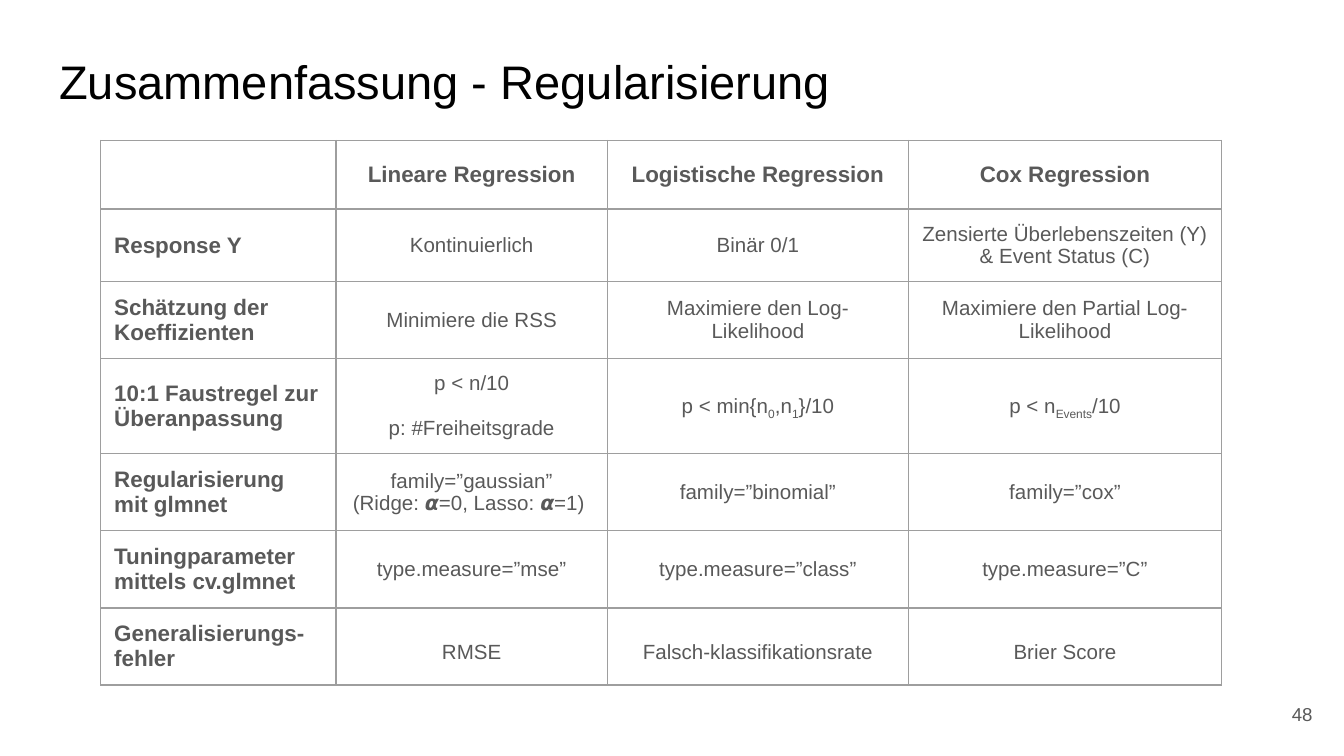
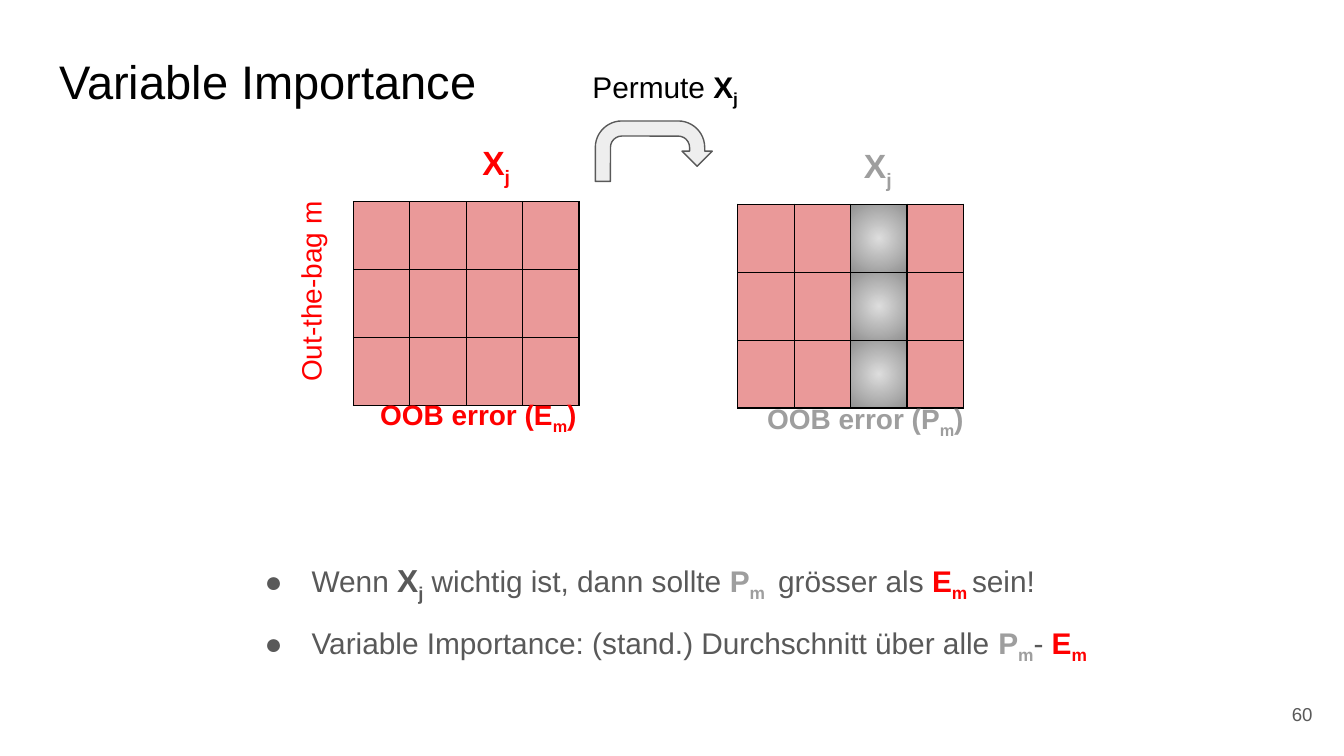
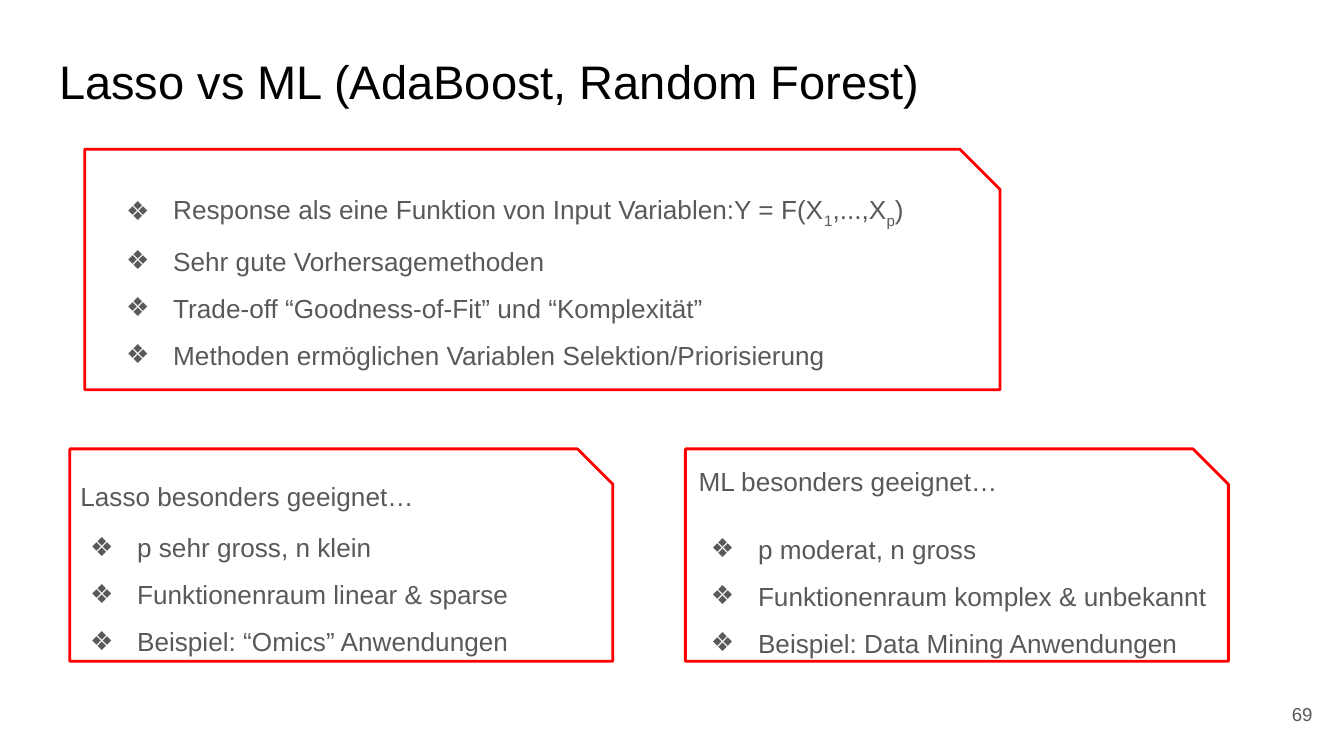
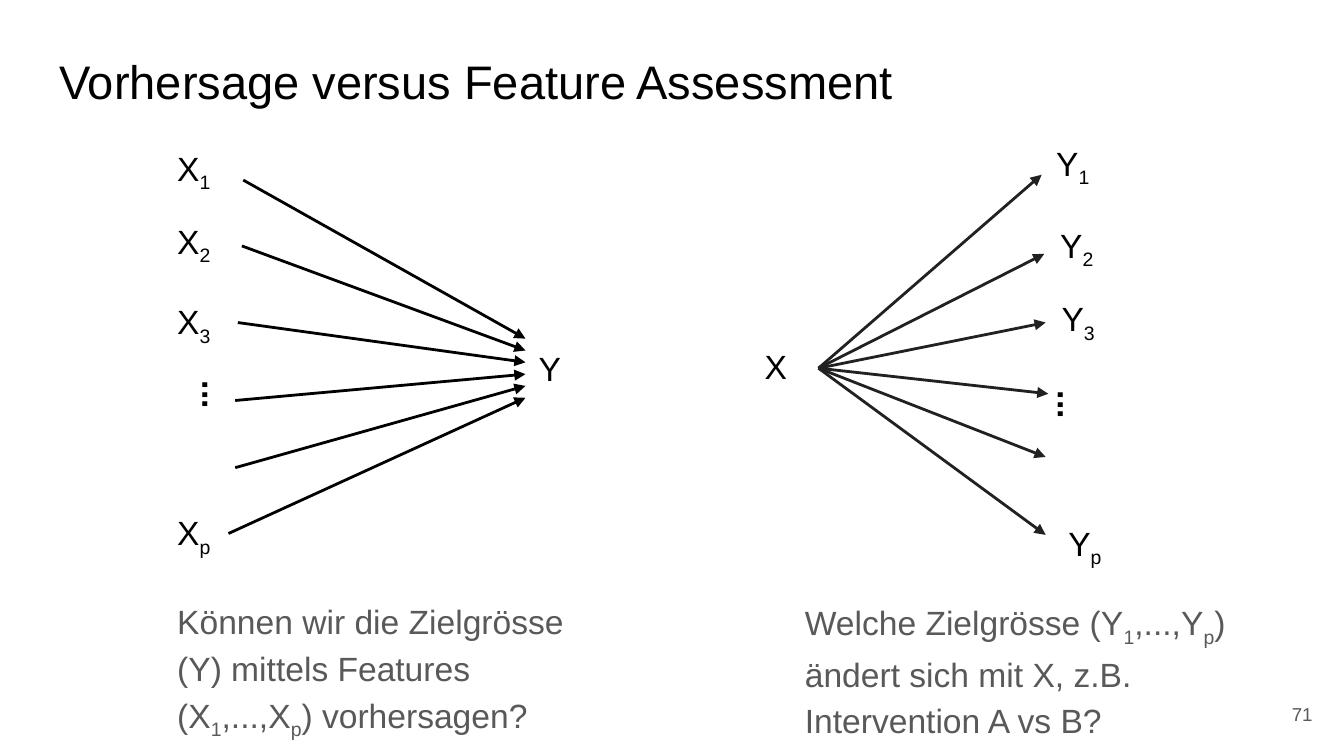
"""Build four lecture slides on regularisation, variable importance and prediction."""
import lxml.etree
import pptx
import pptx.dml.color
import pptx.enum.shapes
import pptx.enum.text
import pptx.oxml.ns
import pptx.util

COLOURS = {
    "black": "000000", "text": "595959", "grey": "9E9E9E", "red": "FF0000",
    "pink": "EA9999", "light": "DDDDDD", "dark": "919191", "pale": "EEEEEE", "ink": "212121",
}
RGB = {name: pptx.dml.color.RGBColor.from_string(value) for name, value in COLOURS.items()}
Pt = pptx.util.Pt
qn = pptx.oxml.ns.qn
ALIGN = pptx.enum.text.PP_ALIGN
ANCHOR = pptx.enum.text.MSO_ANCHOR
FIT = pptx.enum.text.MSO_AUTO_SIZE
SHAPE = pptx.enum.shapes.MSO_SHAPE
EDGES = ("left", "top", "width", "height")
LOOSE = {"line_spacing": 1.5}
AIRY = {"line_spacing": 1.15, "space_after": Pt(12)}

deck = pptx.Presentation()
deck.slide_width = pptx.util.Inches(10)
deck.slide_height = deck.slide_width * 9 // 16
CELL = deck.slide_width / 100
INSET = int(CELL)


def write(holder, paragraphs, look, layout=None, bullet=None, anchor=ANCHOR.TOP):
    """Fill a frame or table cell; text between bars is set as subscript."""
    for side in ("left", "right", "top", "bottom"):
        setattr(holder, f"margin_{side}", INSET)
    holder.vertical_anchor = anchor
    frame = getattr(holder, "text_frame", holder)
    for number, spans in enumerate(paragraphs):
        para = frame.add_paragraph() if number else frame.paragraphs[0]
        if bullet:
            props = para._p.get_or_add_pPr()
            props.set("marL", str(int(5 * CELL)))
            props.set("indent", str(int(-3.5 * CELL)))
            colour = lxml.etree.SubElement(props, qn("a:buClr"))
            lxml.etree.SubElement(colour, qn("a:srgbClr"), val=COLOURS["text"])
            lxml.etree.SubElement(props, qn("a:buSzPts"), val=str(int(look["size"].pt * 100)))
            lxml.etree.SubElement(props, qn("a:buFont"), typeface="Arial")
            lxml.etree.SubElement(props, qn("a:buChar"), char=bullet)
        settings = {"alignment": ALIGN.LEFT, "space_before": Pt(0), **(layout or {})}
        for name, value in settings.items():
            setattr(para, name, value)
        for words, change in [(spans, {})] if isinstance(spans, str) else spans:
            for part, piece in enumerate(words.split("|")):
                if not piece:
                    continue
                span = para.add_run()
                span.text = piece
                for name, value in {"name": "Arial", **look, **change}.items():
                    if name == "color":
                        span.font.color.rgb = RGB[value]
                    else:
                        setattr(span.font, name, value)
                if part % 2:
                    span._r.get_or_add_rPr().set("baseline", "-25000")


def add_box(shapes, area, paragraphs, look, layout=None, bullet=None, turn=0):
    """Add a wrapping text box that grows with its text."""
    box = shapes.add_textbox(*(int(value * CELL) for value in area))
    box.rotation = turn
    box.text_frame.word_wrap = True
    box.text_frame.auto_size = FIT.SHAPE_TO_FIT_TEXT
    write(box.text_frame, paragraphs, look, layout, bullet)
    return box


pages = []
for heading, number, kind in [
    ("Zusammenfassung - Regularisierung", "48", 5),
    ("Variable Importance", "60", 5),
    ("Lasso vs ML (AdaBoost, Random Forest)", "69", 3),
    ("Vorhersage versus Feature Assessment", "71", 5),
]:
    page = deck.slides.add_slide(deck.slide_layouts[kind])
    pages.append(page)
    title = page.shapes.title
    for edge, value in zip(EDGES, (3.4, 2.9, 93.2, 6.3)):
        setattr(title, edge, int(value * CELL))
    title.text_frame.auto_size = FIT.NONE
    write(title.text_frame, [heading], {"size": Pt(25.2), "color": "black"})
    footer = add_box(page.shapes, (92.65, 51, 6, 4.3), [number],
                     {"size": Pt(10), "color": "text"}, {"alignment": ALIGN.RIGHT})
    footer.text_frame.auto_size = FIT.NONE
    footer.text_frame.vertical_anchor = ANCHOR.MIDDLE
summary, importance, comparison, assessment = pages
if comparison.placeholders:
    for spare in [item for item in comparison.placeholders
                  if item.placeholder_format.idx not in (0, 1, 2)]:
        spare.element.getparent().remove(spare.element)

methods = [
    ["", "Lineare Regression", "Logistische Regression", "Cox Regression"],
    ["Response Y", "Kontinuierlich", "Binär 0/1",
     "Zensierte Überlebenszeiten (Y) & Event Status (C)"],
    ["Schätzung der Koeffizienten", "Minimiere die RSS", "Maximiere den Log-Likelihood",
     "Maximiere den Partial Log-Likelihood"],
    ["10:1 Faustregel zur Überanpassung", "p < n/10\np: #Freiheitsgrade",
     "p < min{n|0|,n|1|}/10", "p < n|Events|/10"],
    ["Regularisierung mit glmnet", "family=”gaussian”\n(Ridge: 𝞪=0, Lasso: 𝞪=1) ",
     "family=”binomial”", "family=”cox”"],
    ["Tuningparameter mittels cv.glmnet", "type.measure=”mse”", "type.measure=”class”",
     "type.measure=”C”"],
    ["Generalisierungs- fehler", "RMSE", "Falsch-klassifikationsrate", "Brier Score"],
]
cell_layouts = {(3, 1): {"space_after": Pt(12)}, (3, 2): AIRY, (3, 3): AIRY,
                (6, 1): LOOSE, (6, 2): LOOSE, (6, 3): LOOSE}
empty = [[""] * 4] * 3
for page, left, top, widths, heights, edge_colour, fills, texts in [
    (summary, 7.5, 10.45, (17.5, 20.2, 22.4, 23.3), [5.1] + [4.2] * 6,
     "grey", [None] * 4, methods),
    (importance, 26.3, 15, [4.2] * 4, (3.8, 3.8, 3.5), "black", ["pink"] * 4, empty),
    (importance, 54.9, 15.2, [4.2] * 4, (3.8, 3.8, 3.5), "black",
     ["pink", "pink", "gradient", "pink"], empty),
]:
    area = (left, top, sum(widths), sum(heights))
    table = page.shapes.add_table(len(heights), len(widths),
                                  *(int(value * CELL) for value in area)).table
    table.first_row = table.horz_banding = False
    for column, width in zip(table.columns, widths):
        column.width = int(width * CELL)
    for row, height in zip(table.rows, heights):
        row.height = int(height * CELL)
    for r, line in enumerate(texts):
        for c, text in enumerate(line):
            cell = table.cell(r, c)
            head = r == 0 or c == 0
            layout = {**cell_layouts.get((r, c), {}),
                      "alignment": ALIGN.CENTER if c else ALIGN.LEFT}
            write(cell, text.split("\n") if text else [],
                  {"size": Pt(12 if head else 11), "bold": head, "color": "text"},
                  layout, anchor=ANCHOR.MIDDLE)
            props = cell._tc.get_or_add_tcPr()
            for side in ("a:lnL", "a:lnR", "a:lnT", "a:lnB"):
                border = lxml.etree.SubElement(props, qn(side), w=str(int(Pt(0.75))))
                solid = lxml.etree.SubElement(border, qn("a:solidFill"))
                lxml.etree.SubElement(solid, qn("a:srgbClr"), val=COLOURS[edge_colour])
            if fills[c] is None:
                cell.fill.background()
            elif fills[c] == "gradient":
                cell.fill.gradient()
                for stop, shade in zip(cell.fill.gradient_stops, ("light", "dark")):
                    stop.color.rgb = RGB[shade]
                gradient = props.find(qn("a:gradFill"))
                gradient.remove(gradient.find(qn("a:lin")))
                circle = lxml.etree.SubElement(gradient, qn("a:path"), path="circle")
                lxml.etree.SubElement(circle, qn("a:fillToRect"),
                                      {side: "50000" for side in "ltrb"})
            else:
                cell.fill.solid()
                cell.fill.fore_color.rgb = RGB[fills[c]]

for area, words, size, colour, bold, turn in [
    ((34.9, 9.6, 4.7, 5), "X|j", 18, "red", True, 0),
    ((27.3, 28.6, 18.3, 4.5), "OOB error (E|m|)", 15, "red", True, 0),
    ((63.3, 9.8, 4.7, 5), "X|j", 18, "grey", True, 0),
    ((56.1, 28.9, 17.3, 4.5), "OOB error (P|m|)", 15, "grey", True, 0),
    ((13.7, 19, 16.3, 4.5), "Out-the-bag m", 15, "red", False, 270),
]:
    add_box(importance.shapes, area, [words],
            {"size": Pt(size), "color": colour, "bold": bold}, LOOSE if turn else None, turn=turn)
add_box(importance.shapes, (43.1, 4.1, 13.1, 4.7),
        [[("Permute ", {}), ("X|j", {"bold": True})]], {"size": Pt(16), "color": "black"})
permuted = {"color": "grey", "bold": True}
observed = {"color": "red", "bold": True}
add_box(importance.shapes, (17.2, 39.1, 67.9, 9), [
    [("Wenn ", {}), ("X|j", {"size": Pt(17), "bold": True}), (" wichtig ist, dann sollte ", {}),
     ("P|m ", permuted), (" grösser als ", {}), ("E|m ", observed), ("sein!", {})],
    [("Variable Importance: (stand.) Durchschnitt über alle ", {}),
     ("P|m", permuted), ("- ", {}), ("E|m", observed)],
], {"size": Pt(16), "color": "text"}, LOOSE, "●")

for page, kind, area, fill, line, weight in [
    (importance, SHAPE.U_TURN_ARROW, (44.3, 9, 8.7, 4.5), "pale", "text", 0.75),
    (comparison, SHAPE.SNIP_1_RECTANGLE, (6.3, 11.1, 68.1, 17.9), None, "red", 1.5),
    (comparison, SHAPE.SNIP_1_RECTANGLE, (5.2, 33.4, 40.4, 15.8), None, "red", 1.5),
    (comparison, SHAPE.SNIP_1_RECTANGLE, (51, 33.4, 40.4, 15.8), None, "red", 1.5),
]:
    shape = page.shapes.add_shape(kind, *(int(value * CELL) for value in area))
    shape.shadow.inherit = False
    if fill:
        shape.fill.solid()
        shape.fill.fore_color.rgb = RGB[fill]
    else:
        shape.fill.background()
    shape.line.color.rgb = RGB[line]
    shape.line.width = Pt(weight)

note = {"size": Pt(14), "color": "text"}
for index, area, points in [
    (1, (4.2, 37.4, 43, 11.8), ["p sehr gross, n klein", "Funktionenraum linear & sparse",
                                "Beispiel: “Omics” Anwendungen"]),
    (2, (50.4, 37.5, 41.2, 10.5), ["p moderat, n gross", "Funktionenraum komplex & unbekannt",
                                   "Beispiel: Data Mining Anwendungen"]),
]:
    body = comparison.placeholders[index]
    for edge, value in zip(EDGES, area):
        setattr(body, edge, int(value * CELL))
    body.text_frame.auto_size = FIT.NONE
    write(body.text_frame, points, note, LOOSE, "❖")
add_box(comparison.shapes, (6.9, 12.1, 67.5, 15), [
    "Response als eine Funktion von Input Variablen:Y = F(X|1|,...,X|p|)",
    "Sehr gute Vorhersagemethoden",
    "Trade-off “Goodness-of-Fit” und “Komplexität”",
    "Methoden ermöglichen Variablen Selektion/Priorisierung",
], note, LOOSE, "❖")
add_box(comparison.shapes, (5, 33.6, 32, 4.4), ["Lasso besonders geeignet…"], note, LOOSE)
add_box(comparison.shapes, (51, 33.6, 35, 4.4), ["ML besonders geeignet…"], note)

feature_starts = [(18.1, 13.4), (18, 18.3), (17.7, 24), (17.5, 29.8), (17.5, 34.8), (17, 39.7)]
target_ends = [(77.5, 13), (77.7, 18.9), (77.8, 24), (78, 29.3), (77.8, 34), (77.8, 39.8)]
for colour, arrows, labels, dots, dots_layout in [
    ("black", [(*start, 39.1, 25.2 + 0.88 * i) for i, start in enumerate(feature_starts)],
     [("X|1", 12.2, 10), ("X|2", 12.2, 15.4), ("X|3", 12.2, 21.4), ("X|p", 12.2, 37.1),
      ("Y", 39.1, 24.9)], (10.6, 30.3, 10.9, 5), None),
    ("ink", [(60.9, 27.4, *end) for end in target_ends],
     [("Y|1", 77.6, 9.6), ("Y|2", 77.9, 15.7), ("Y|3", 78, 21.2), ("Y|p", 78.5, 37.9),
      ("X", 55.9, 24.7)], (75.7, 31.1, 11, 5), LOOSE),
]:
    fan = assessment.shapes.add_group_shape().shapes
    for ends in arrows:
        arrow = fan.add_connector(pptx.enum.shapes.MSO_CONNECTOR.STRAIGHT,
                                  *(int(value * CELL) for value in ends))
        arrow.line.color.rgb = RGB[colour]
        arrow.line.width = Pt(1.5)
        outline = arrow._element.spPr.find(qn("a:ln"))
        lxml.etree.SubElement(outline, qn("a:tailEnd"), type="triangle")
        lxml.etree.SubElement(arrow._element.spPr, qn("a:effectLst"))
    symbol = {"size": Pt(18), "color": "black"}
    for words, left, top in labels:
        add_box(fan, (left, top, 6.2, 5.1), [words], symbol)
    add_box(fan, dots, ["..."], {**symbol, "bold": True}, dots_layout, turn=90)

for left, width, question in [
    (12.2, 32.8, "Können wir die Zielgrösse (Y) mittels Features (X|1|,...,X|p|) vorhersagen?"),
    (58.9, 34.1, "Welche Zielgrösse (Y|1|,...,Y|p|) ändert sich mit X, z.B. Intervention A vs B?"),
]:
    add_box(assessment.shapes, (left, 43.3, width, 12), [question],
            {"size": Pt(18), "color": "text"}, AIRY)

deck.save("out.pptx")
